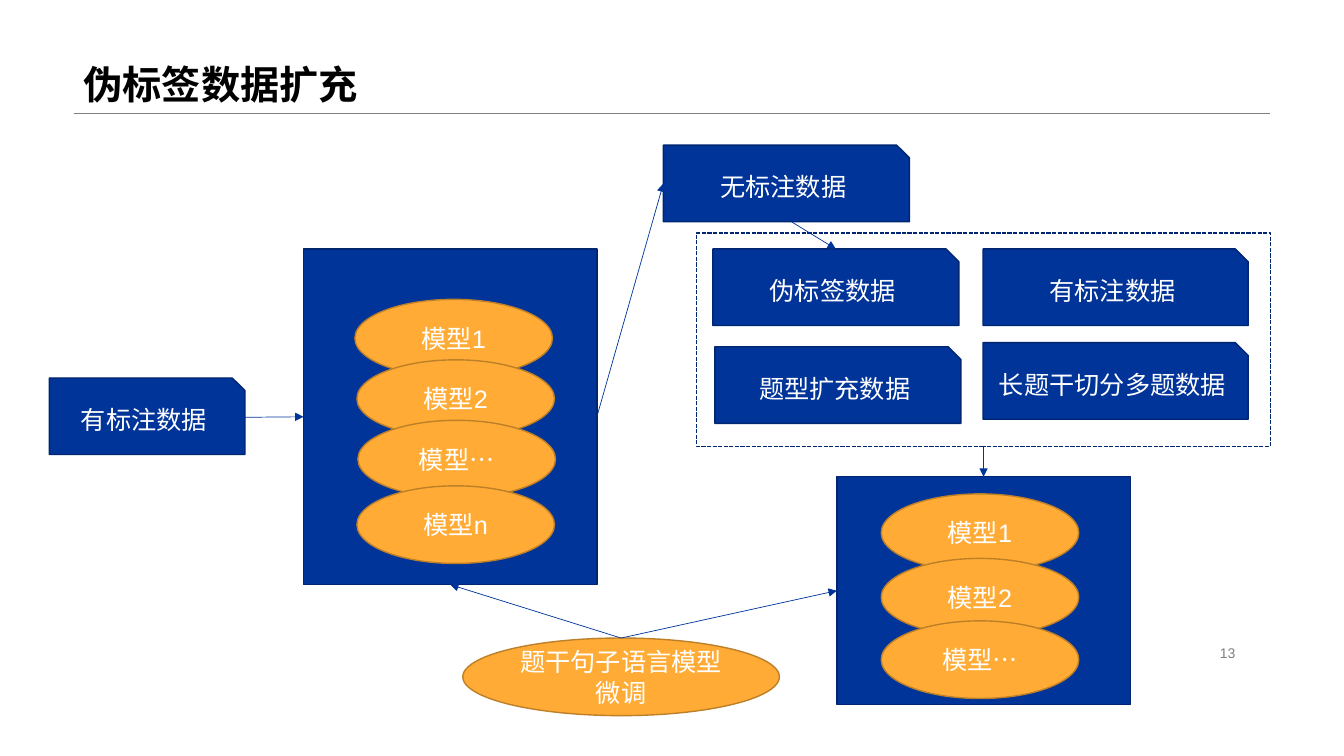
import pptx
import pptx.dml.color
import pptx.enum.dml
import pptx.enum.shapes
import pptx.enum.text
import pptx.oxml
import pptx.oxml.ns
import pptx.util

PX = 9144
COLOURS = {
    "blue": "003499",
    "blue_edge": "002671",
    "orange": "FFAB35",
    "orange_edge": "BD7F27",
    "grey": "808080",
    "black": "000000",
    "white": "FFFFFF",
}
FONT = "Arial"
SHAPE = pptx.enum.shapes.MSO_SHAPE
ALIGN = pptx.enum.text.PP_ALIGN
ANCHOR = pptx.enum.text.MSO_ANCHOR
TOP, LEFT, BOTTOM, RIGHT = range(4)


def colour(name):
    return pptx.dml.color.RGBColor.from_string(COLOURS[name])


def write(frame, text, size=18, ink="white", bold=False, align=ALIGN.CENTER,
          anchor=ANCHOR.MIDDLE, spacing=None):
    frame.auto_size = pptx.enum.text.MSO_AUTO_SIZE.NONE
    frame.word_wrap = True
    frame.vertical_anchor = anchor
    paragraph = frame.paragraphs[0]
    paragraph.alignment = align
    paragraph.line_spacing = spacing
    run = paragraph.add_run()
    run.text = text
    run.font.name = FONT
    run.font.size = pptx.util.Pt(size)
    run.font.bold = bold
    run.font.color.rgb = colour(ink)


class Diagram:
    def __init__(self, slide):
        self.slide = slide

    def title(self, text, left, top, width, height):
        title = self.slide.shapes.title
        title.left, title.top = left * PX, top * PX
        title.width, title.height = width * PX, height * PX
        write(title.text_frame, text, size=28, ink="black", bold=True,
              align=ALIGN.LEFT, anchor=ANCHOR.BOTTOM, spacing=0.9)

    def label(self, text, left, top, width, height, **style):
        box = self.slide.shapes.add_textbox(left * PX, top * PX, width * PX, height * PX)
        write(box.text_frame, text, **style)

    def shape(self, kind, left, top, width, height, fill=None, edge="blue_edge", text=None):
        shape = self.slide.shapes.add_shape(kind, left * PX, top * PX, width * PX, height * PX)
        shape.shadow.inherit = False
        if fill:
            shape.fill.solid()
            shape.fill.fore_color.rgb = colour(fill)
        else:
            shape.fill.background()
        shape.line.color.rgb = colour(edge)
        shape.line.width = pptx.util.Pt(1)
        if text:
            write(shape.text_frame, text)
        return shape

    def data(self, text, left, top, width=244):
        return self.shape(SHAPE.SNIP_1_RECTANGLE, left, top, width, 76, "blue", text=text)

    def model(self, text, left, top, width=196):
        return self.shape(SHAPE.OVAL, left, top, width, 77, "orange", "orange_edge", text)

    def panel(self, left, top, width, height):
        return self.shape(SHAPE.RECTANGLE, left, top, width, height, "blue")

    def dashed_frame(self, left, top, width, height):
        frame = self.shape(SHAPE.RECTANGLE, left, top, width, height)
        frame.line.dash_style = pptx.enum.dml.MSO_LINE.SQUARE_DOT
        return frame

    def line(self, start, end, ink="blue", width=0.5, begin=None, finish=None):
        connector = self.slide.shapes.add_connector(
            pptx.enum.shapes.MSO_CONNECTOR.STRAIGHT,
            *(value * PX for value in (*start, *end)))
        connector.line.color.rgb = colour(ink)
        connector.line.width = pptx.util.Pt(width)
        properties = connector._element.spPr
        properties.append(pptx.oxml.parse_xml(
            f'<a:effectLst {pptx.oxml.ns.nsdecls("a")}/>'))
        if begin:
            connector.begin_connect(*begin)
        if finish:
            connector.end_connect(*finish)
        return connector

    def arrow(self, start, end, **joins):
        connector = self.line(start, end, **joins)
        connector.line._get_or_add_ln().append(pptx.oxml.parse_xml(
            f'<a:tailEnd {pptx.oxml.ns.nsdecls("a")} type="triangle"/>'))


def main():
    presentation = pptx.Presentation()
    presentation.slide_width = 1333 * PX
    presentation.slide_height = 750 * PX
    diagram = Diagram(presentation.slides.add_slide(presentation.slide_layouts[5]))

    diagram.line((73, 112), (1260, 112), ink="grey", width=0.25)
    diagram.title("伪标签数据扩充", 73, 0, 1187, 112)
    diagram.label("13", 917, 636, 318, 23, size=10, ink="grey", align=ALIGN.RIGHT)

    for text, left, top, width in (
        ("有标注数据", 49, 375, 194),
        ("无标注数据", 658, 144, 244),
        ("伪标签数据", 707, 247, 244),
        ("有标注数据", 975, 247, 263),
        ("题型扩充数据", 709, 344, 244),
        ("长题干切分多题数据", 975, 340, 263),
    ):
        diagram.data(text, left, top, width)

    first_panel = diagram.panel(301, 247, 291, 333)
    second_panel = diagram.panel(830, 473, 291, 226)
    for text, left, top in (
        ("模型1", 352, 297),
        ("模型2", 354, 357),
        ("模型…", 355, 417),
        ("模型n", 354, 482),
        ("模型1", 874, 490),
        ("模型2", 874, 554),
        ("模型…", 874, 616),
    ):
        diagram.model(text, left, top)
    tuning = diagram.model("题干句子语言模型微调", 459, 633, 314)
    training_set = diagram.dashed_frame(691, 231, 569, 212)

    diagram.arrow((243, 414), (301, 414), finish=(first_panel, LEFT))
    diagram.arrow((592, 414), (658, 182), begin=(first_panel, RIGHT))
    diagram.arrow((785, 220), (829, 247))
    diagram.arrow((975, 443), (975, 473),
                  begin=(training_set, BOTTOM), finish=(second_panel, TOP))
    diagram.arrow((616, 633), (447, 580),
                  begin=(tuning, TOP), finish=(first_panel, BOTTOM))
    diagram.arrow((616, 633), (830, 586),
                  begin=(tuning, TOP), finish=(second_panel, LEFT))

    presentation.save("out.pptx")


if __name__ == "__main__":
    main()
